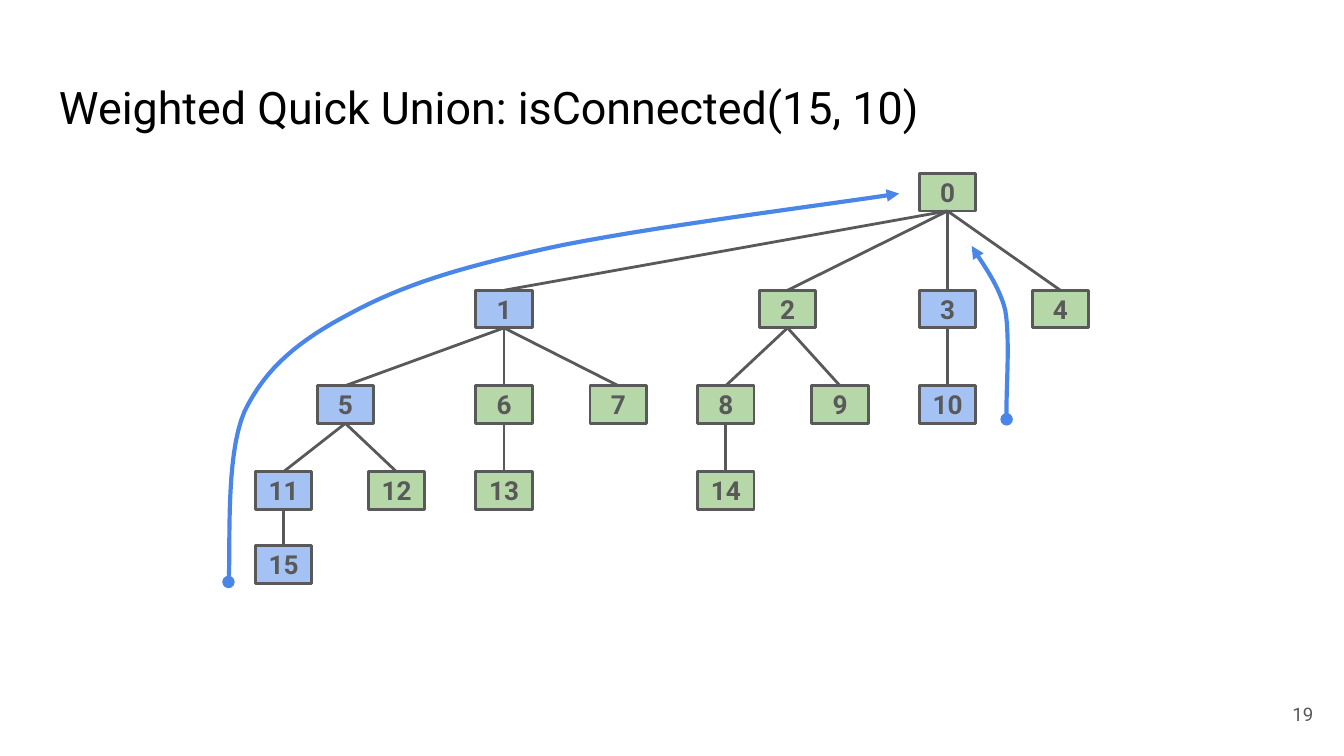
import dataclasses

import lxml.etree
import pptx
import pptx.dml.color
import pptx.enum.shapes
import pptx.enum.text
import pptx.oxml.ns
import pptx.util

Inches = pptx.util.Inches
Align = pptx.enum.text.PP_ALIGN
Anchor = pptx.enum.text.MSO_ANCHOR


@dataclasses.dataclass(frozen=True)
class Theme:
    """Colours, font and sizes of the slide."""
    font: str = "Roboto"
    title: str = "000000"
    ink: str = "595959"
    node: str = "B6D7A8"
    visited: str = "A4C2F4"
    route: str = "4A86E8"
    title_size: int = 24
    node_size: int = 14
    number_size: int = 10
    edge_width: float = 1.5
    route_width: float = 2.25


THEME = Theme()
PAGE_WIDTH = 10
PAGE_HEIGHT = PAGE_WIDTH * 9 / 16
NODE_WIDTH, NODE_HEIGHT = 0.42, 0.28
ROW_TOPS = [0, 0.87, 1.58, 2.22, 2.77]
VISITED = {1, 3, 5, 10, 11, 15}
PARENTS = {1: 0, 2: 0, 3: 0, 4: 0, 5: 1, 6: 1, 7: 1, 8: 2, 9: 2, 10: 3,
           11: 5, 12: 5, 13: 6, 14: 8, 15: 11}
NODE_LEFTS = {0: 4.94, 1: 1.64, 2: 3.75, 3: 4.94, 4: 5.78, 5: 0.46, 6: 1.64, 7: 2.49,
              8: 3.29, 9: 4.14, 10: 4.94, 11: 0, 12: 0.84, 13: 1.64, 14: 3.29, 15: 0}
LEFT_ROUTE = [(0, 2.89), (0.02, 2.68), (-0.03, 1.96), (0.12, 1.62), (0.28, 1.29),
              (0.53, 1.09), (0.91, 0.89), (1.28, 0.69), (1.68, 0.56), (2.36, 0.41),
              (3.04, 0.26), (4.55, 0.07), (4.99, 0)]
RIGHT_ROUTE = [(0.26, 1.29), (0.25, 1.15), (0.29, 0.7), (0.25, 0.48), (0.2, 0.27),
               (0.04, 0.08), (0, 0)]


def rgb(value):
    """Return a colour object for a hex string."""
    return pptx.dml.color.RGBColor.from_string(value)


def write(shape, text, size, color, align, anchor, bold=False, side=0.1):
    """Fill a shape with one formatted paragraph."""
    frame = shape.text_frame
    frame.word_wrap = True
    frame.vertical_anchor = anchor
    frame.margin_left = frame.margin_right = Inches(side)
    frame.margin_top = frame.margin_bottom = Inches(0.1)
    frame.text = text
    para = frame.paragraphs[0]
    para.alignment = align
    for span in para.runs:
        span.font.name = THEME.font
        span.font.size = pptx.util.Pt(size)
        span.font.bold = bold
        span.font.color.rgb = rgb(color)


def style_line(line, color, width):
    """Set the colour and width of a line."""
    line.color.rgb = rgb(color)
    line.width = pptx.util.Pt(width)


def add_label(page, box, text, size, color, align, anchor):
    """Place a text box in the given box."""
    shape = page.shapes.add_textbox(*map(Inches, box))
    write(shape, text, size, color, align, anchor)


def add_node(page, left, top, number):
    """Place one numbered tree node."""
    shape = page.shapes.add_shape(
        pptx.enum.shapes.MSO_SHAPE.RECTANGLE,
        *map(Inches, (left, top, NODE_WIDTH, NODE_HEIGHT)))
    shape.shadow.inherit = False
    shape.fill.solid()
    shape.fill.fore_color.rgb = rgb(THEME.visited if number in VISITED else THEME.node)
    style_line(shape.line, THEME.ink, THEME.edge_width)
    write(shape, str(number), THEME.node_size, THEME.ink,
          Align.CENTER, Anchor.MIDDLE, bold=True, side=0)
    return shape


def add_edge(page, child, parent):
    """Join the top of a child to the bottom of its parent."""
    edge = page.shapes.add_connector(
        pptx.enum.shapes.MSO_CONNECTOR.STRAIGHT, 0, 0, 0, 0)
    edge.begin_connect(child, 0)
    edge.end_connect(parent, 2)
    style_line(edge.line, THEME.ink, THEME.edge_width)
    lxml.etree.SubElement(edge._element.spPr, pptx.oxml.ns.qn("a:effectLst"))


def depth(number):
    """Return how many steps a node lies below the root."""
    return 1 + depth(PARENTS[number]) if number in PARENTS else 0


def add_tree(page, left, top):
    """Place the nodes and edges of the tree from its top left corner."""
    nodes = {number: add_node(page, left + offset, top + ROW_TOPS[depth(number)], number)
             for number, offset in NODE_LEFTS.items()}
    for child, parent in PARENTS.items():
        add_edge(page, nodes[child], nodes[parent])


def curve_points(controls, steps=16):
    """Sample a chain of cubic curves that share their end points."""
    points = [controls[0]]
    for start in range(0, len(controls) - 1, 3):
        for step in range(1, steps + 1):
            t = step / steps
            weights = ((1 - t) ** 3, 3 * t * (1 - t) ** 2, 3 * t ** 2 * (1 - t), t ** 3)
            knots = controls[start:start + 4]
            points.append(tuple(sum(weight * knot[axis] for weight, knot in zip(weights, knots))
                                for axis in (0, 1)))
    return points


def add_route(page, left, top, controls):
    """Draw a curved route from a dot to an arrowhead."""
    points = [(Inches(left + x), Inches(top + y)) for x, y in curve_points(controls)]
    builder = page.shapes.build_freeform(*points[0])
    builder.add_line_segments(points[1:], close=False)
    route = builder.convert_to_shape()
    route.shadow.inherit = False
    route.fill.background()
    style_line(route.line, THEME.route, THEME.route_width)
    outline = route._element.spPr.find(pptx.oxml.ns.qn("a:ln"))
    lxml.etree.SubElement(outline, pptx.oxml.ns.qn("a:round"))
    for end, kind in (("a:headEnd", "oval"), ("a:tailEnd", "triangle")):
        lxml.etree.SubElement(outline, pptx.oxml.ns.qn(end), type=kind)


def main():
    """Build and save the deck."""
    deck = pptx.Presentation()
    deck.slide_width, deck.slide_height = Inches(PAGE_WIDTH), Inches(PAGE_HEIGHT)
    page = deck.slides.add_slide(deck.slide_layouts[6])
    add_label(page, (0.34, 0.49, 9.32, 0.63), "Weighted Quick Union: isConnected(15, 10)",
              THEME.title_size, THEME.title, Align.LEFT, Anchor.TOP)
    add_label(page, (9.27, 5.1, 0.6, 0.43), "19",
              THEME.number_size, THEME.ink, Align.RIGHT, Anchor.MIDDLE)
    add_tree(page, 1.9, 1.29)
    add_route(page, 1.7, 1.44, LEFT_ROUTE)
    add_route(page, 7.23, 1.83, RIGHT_ROUTE)
    deck.save("out.pptx")


if __name__ == "__main__":
    main()
